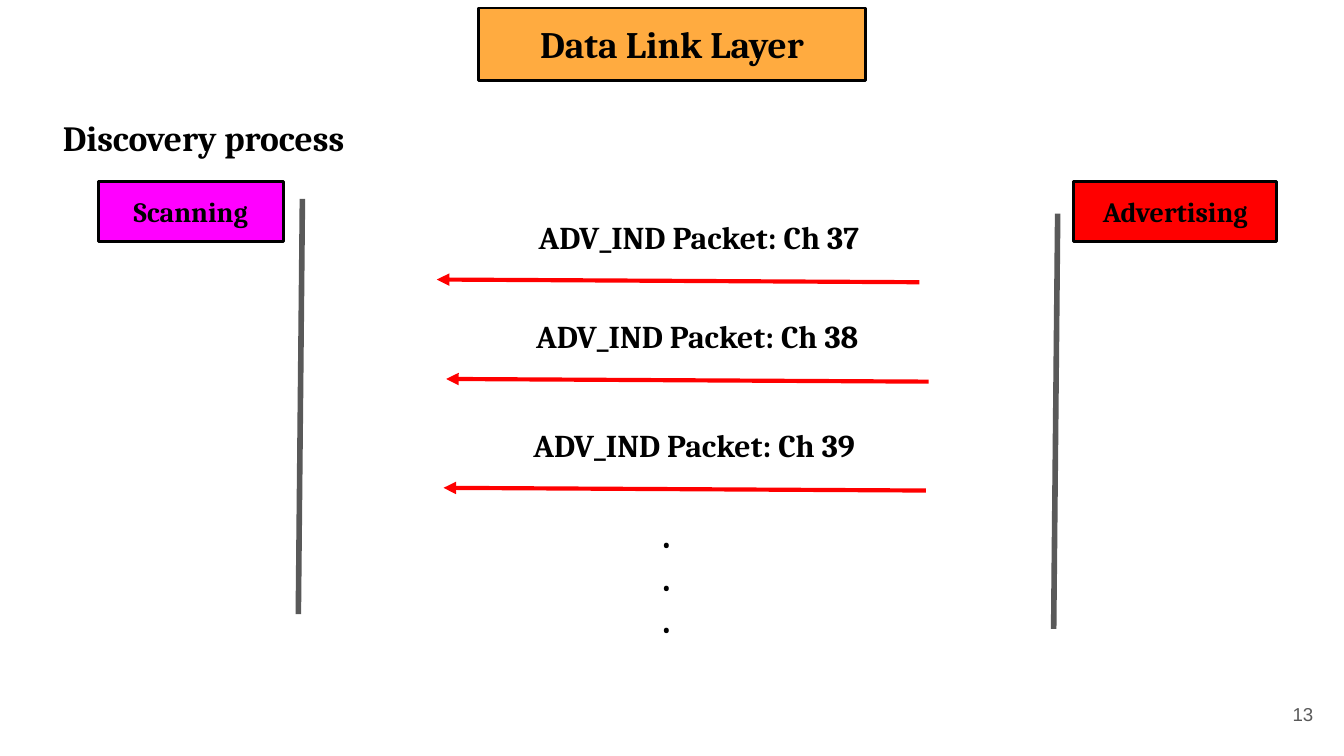
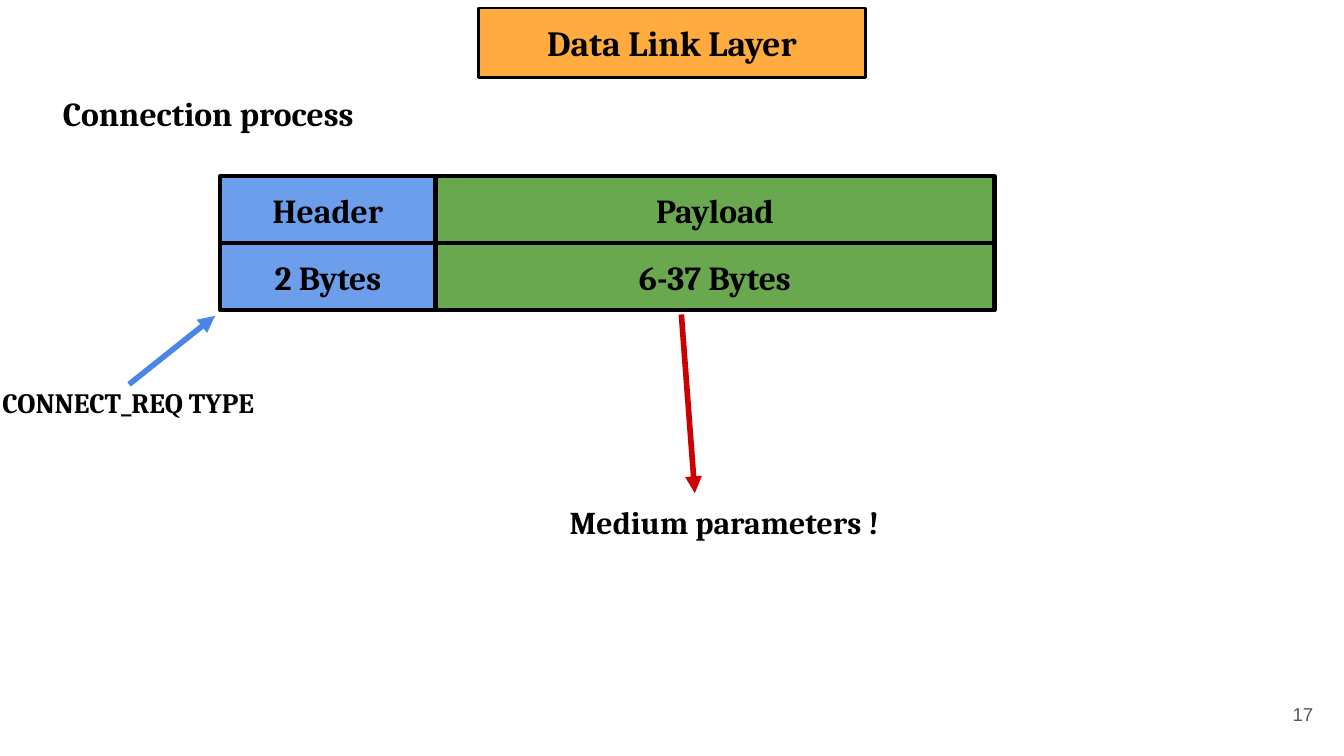
from pptx import Presentation
from pptx.dml.color import RGBColor
from pptx.enum import shapes, text
from pptx.oxml import parse_xml
from pptx.oxml.ns import nsdecls
from pptx.util import Inches, Pt

# Shared style
SERIF, SANS = "Cambria", "Arial"
BLACK, GRAY, ORANGE = "000000", "595959", "FFAB40"
RED, MAGENTA, BLUE, GREEN = "FF0000", "FF00FF", "6D9EEB", "6AA84F"
ARROW_BLUE, ARROW_RED = "4A86E8", "CC0000"
LEFT, CENTER, RIGHT = (text.PP_ALIGN.LEFT, text.PP_ALIGN.CENTER,
                       text.PP_ALIGN.RIGHT)

# Discovery slide: start, end of each timeline; label, fill, left, width
TIMELINES = [((2.25, 1.48), (2.22, 4.57)), ((7.87, 1.59), (7.84, 4.68))]
ROLES = [("Scanning", MAGENTA, 0.73, 1.38), ("Advertising", RED, 7.99, 1.51)]
# Label, label left, label top, label width, arrow start x
PACKETS = [
    ("ADV_IND Packet: Ch 37", 3.91, 1.52, 2.88, 6.84),
    ("ADV_IND Packet: Ch 38", 3.89, 2.26, 2.88, 6.91),
    ("ADV_IND Packet: Ch 39", 3.87, 3.07, 2.97, 6.89),
]
PACKET_ARROW_LENGTH = 3.59

# Connection slide: name, size, fill, width of each packet field
FIELDS = [("Header", "2 Bytes", BLUE, 1.6),
          ("Payload", "6-37 Bytes", GREEN, 4.16)]
FIELDS_LEFT, FIELDS_TOP, ROW_HEIGHT = 1.64, 1.31, 0.5
# Label, left, top, width, height, text size
NOTES = [("CONNECT_REQ TYPE", -0.08, 2.77, 2.24, 0.45, 15),
         ("Medium parameters !", 4.14, 3.64, 2.55, 0.49, 17)]
NOTE_ARROWS = [((0.96, 2.86), (1.6, 2.35), ARROW_BLUE),
               ((5.07, 2.34), (5.17, 3.67), ARROW_RED)]


def color(hex_code):
    return RGBColor.from_string(hex_code)


def write(box, lines, size, align=LEFT, font=SERIF, ink=BLACK, bold=True,
          anchor=text.MSO_ANCHOR.TOP):
    frame = box.text_frame
    frame.word_wrap = True
    frame.vertical_anchor = anchor
    frame.margin_left = frame.margin_right = Inches(0.1)
    frame.margin_top = frame.margin_bottom = Inches(0.1)
    for index, line in enumerate(lines):
        para = frame.add_paragraph() if index else frame.paragraphs[0]
        para.alignment = align
        span = para.add_run()
        span.text = line
        span.font.name, span.font.size = font, Pt(size)
        span.font.bold = bold
        span.font.color.rgb = color(ink)


def add_label(page, lines, place, size, **style):
    box = page.shapes.add_textbox(*map(Inches, place))
    write(box, lines, size, **style)


def add_block(page, label, place, size, fill, border=1.5):
    block = page.shapes.add_shape(shapes.MSO_SHAPE.RECTANGLE,
                                  *map(Inches, place))
    block.shadow.inherit = False
    block.fill.solid()
    block.fill.fore_color.rgb = color(fill)
    block.line.color.rgb = color(BLACK)
    block.line.width = Pt(border)
    write(block, [label], size, align=CENTER)


def add_line(page, start, end, ink, width, arrow=True):
    line = page.shapes.add_connector(shapes.MSO_CONNECTOR.STRAIGHT,
                                     *map(Inches, start + end))
    line.line.color.rgb = color(ink)
    line.line.width = Pt(width)
    if arrow:
        line.line._get_or_add_ln().append(
            parse_xml(f'<a:tailEnd {nsdecls("a")} type="triangle"/>'))
    line._element.spPr.append(parse_xml(f'<a:effectLst {nsdecls("a")}/>'))


def add_page(deck, heading, heading_place, heading_size, title_size,
             title_height, number):
    page = deck.slides.add_slide(deck.slide_layouts[6])
    add_block(page, "Data Link Layer", (3.56, 0.06, 2.88, title_height),
              title_size, ORANGE)
    add_label(page, [heading], heading_place, heading_size)
    add_label(page, [number], (9.27, 5.1, 0.6, 0.43), 10, align=RIGHT,
              font=SANS, ink=GRAY, bold=False, anchor=text.MSO_ANCHOR.MIDDLE)
    return page


def build_discovery(deck):
    page = add_page(deck, "Discovery process", (0.37, 0.76, 2.67, 0.52), 19,
                    20, 0.54, "13")
    for start, end in TIMELINES:
        add_line(page, start, end, GRAY, 3, arrow=False)
    for label, fill, left, width in ROLES:
        add_block(page, label, (left, 1.35, width, 0.45), 15, fill)
    # Each arrow runs just below its label
    for label, left, top, width, start_x in PACKETS:
        add_label(page, [label], (left, top, width, 0.49), 17)
        add_line(page, (start_x, top + 0.58),
                 (start_x - PACKET_ARROW_LENGTH, top + 0.56), RED, 2.25)
    add_label(page, ["."] * 3, (4.83, 3.72, 0.34, 1.16), 19)


def build_connection(deck):
    page = add_page(deck, "Connection process", (0.37, 0.59, 2.67, 0.5), 18,
                    19, 0.52, "17")
    # Packet fields: one column each, name above size
    left = FIELDS_LEFT
    for name, length, fill, width in FIELDS:
        for row, label in enumerate((name, length)):
            top = FIELDS_TOP + row * ROW_HEIGHT
            add_block(page, label, (left, top, width, ROW_HEIGHT), 18, fill,
                      border=2.25)
        left += width
    # Notes and their arrows
    for label, *place, size in NOTES:
        add_label(page, [label], place, size)
    for start, end, ink in NOTE_ARROWS:
        add_line(page, start, end, ink, 3)


def main():
    deck = Presentation()
    deck.slide_width = Inches(10)
    deck.slide_height = deck.slide_width * 9 // 16
    build_discovery(deck)
    build_connection(deck)
    deck.save("out.pptx")


if __name__ == "__main__":
    main()
